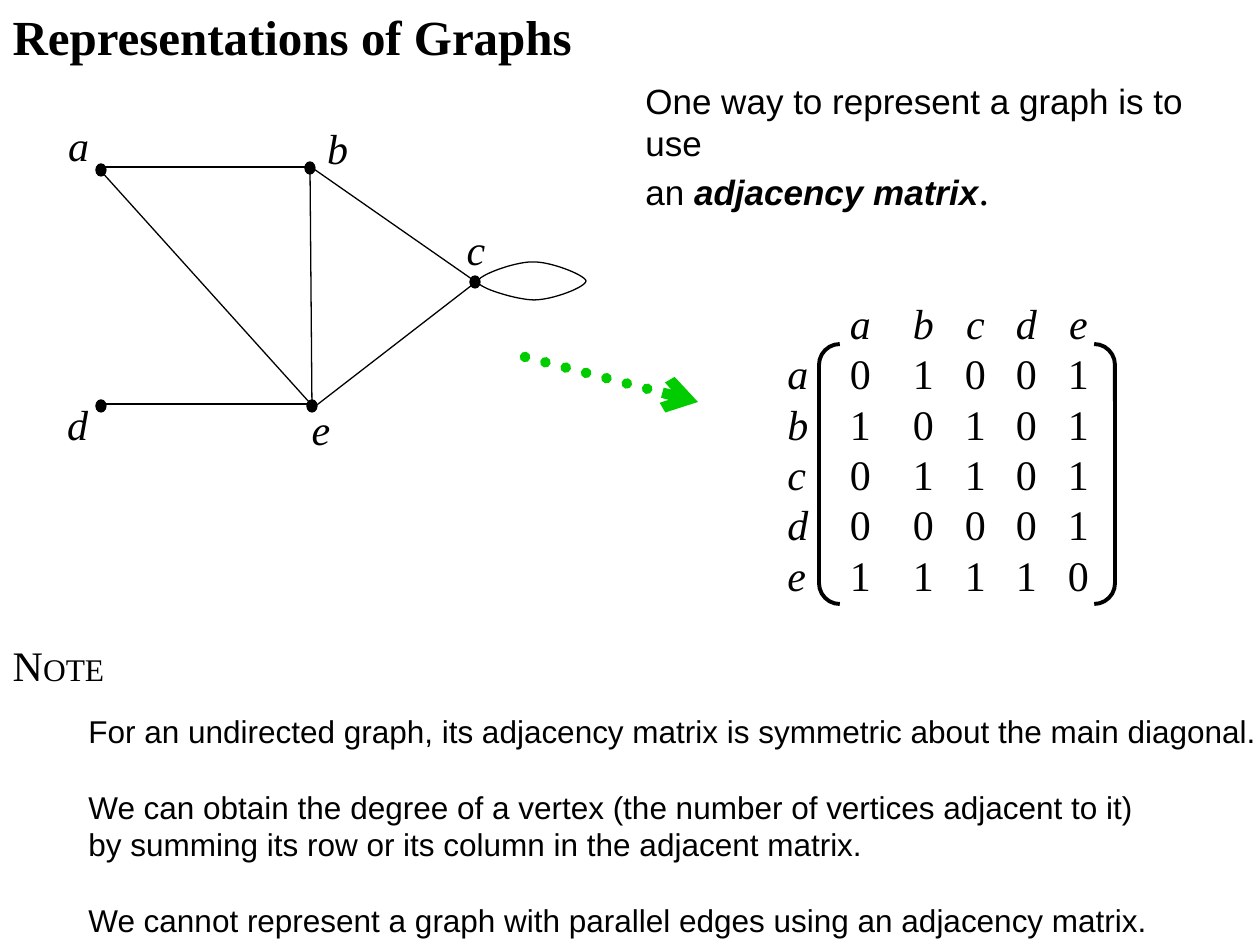
from dataclasses import dataclass

from lxml import etree
from pptx import Presentation
from pptx.dml.color import RGBColor
from pptx.enum.dml import MSO_LINE
from pptx.enum.shapes import MSO_CONNECTOR, MSO_SHAPE
from pptx.enum.text import MSO_ANCHOR, MSO_AUTO_SIZE, PP_ALIGN
from pptx.oxml.ns import qn
from pptx.util import Emu, Pt

LEFT, CENTER = PP_ALIGN.LEFT, PP_ALIGN.CENTER
MIDDLE, NO_FIT = MSO_ANCHOR.MIDDLE, MSO_AUTO_SIZE.NONE
STRAIGHT, ROUND_DOT = MSO_CONNECTOR.STRAIGHT, MSO_LINE.ROUND_DOT
OVAL, BRACKETS = MSO_SHAPE.OVAL, MSO_SHAPE.DOUBLE_BRACKET
PX_PER_INCH = 126
LINE_HEIGHT = 1.2


@dataclass(frozen=True)
class Theme:
    ink: RGBColor = RGBColor(0, 0, 0)
    arrow: RGBColor = RGBColor(0x00, 0xCC, 0x00)
    serif: str = "Times New Roman"
    sans: str = "Arial"
    title: int = 28
    symbol: int = 24
    lead: int = 20
    body: int = 18
    thin: float = 0.75
    bracket: float = 2.25
    thick: float = 6


THEME = Theme()


@dataclass(frozen=True)
class Run:
    text: str
    size: int = THEME.symbol
    font: str = THEME.serif
    bold: bool = False
    italic: bool = False


@dataclass(frozen=True)
class Box:
    left: int
    top: int
    width: int
    height: int


@dataclass(frozen=True)
class Vertex:
    name: str
    x: int
    y: int
    label: Box


@dataclass(frozen=True)
class Edge:
    x1: int
    y1: int
    x2: int
    y2: int


def px(value: float) -> Emu:
    return Emu(round(value * 914400 / PX_PER_INCH))


def place(box: Box) -> tuple:
    return px(box.left), px(box.top), px(box.width), px(box.height)


def write(frame, paragraphs: list, align=LEFT, wrap=False) -> list:
    """Fill a text frame with paragraphs, each a list of runs."""
    frame.word_wrap, frame.auto_size = wrap, NO_FIT
    frame.vertical_anchor = MIDDLE
    written = []
    for index, runs in enumerate(paragraphs):
        paragraph = frame.add_paragraph() if index else frame.paragraphs[0]
        paragraph.alignment = align
        paragraph.line_spacing = Pt(LINE_HEIGHT * max(run.size for run in runs))
        paragraph.space_before = Pt(0)
        for item in runs:
            run = paragraph.add_run()
            run.text = item.text
            run.font.size, run.font.name = Pt(item.size), item.font
            run.font.bold, run.font.italic = item.bold, item.italic
            run.font.color.rgb = THEME.ink
        written.append(paragraph)
    return written


def add_text(slide, box: Box, paragraphs: list, align=LEFT, wrap=False) -> list:
    frame = slide.shapes.add_textbox(*place(box)).text_frame
    return write(frame, paragraphs, align, wrap)


def outline(shape, width: float, filled: bool = False) -> None:
    shape.shadow.inherit = False
    if filled:
        shape.fill.solid()
        shape.fill.fore_color.rgb = THEME.ink
    else:
        shape.fill.background()
    shape.line.color.rgb, shape.line.width = THEME.ink, Pt(width)


def add_edge(slide, edge: Edge, color=THEME.ink, width: float = THEME.thin):
    line = slide.shapes.add_connector(
        STRAIGHT, px(edge.x1), px(edge.y1), px(edge.x2), px(edge.y2))
    line.line.color.rgb, line.line.width = color, Pt(width)
    etree.SubElement(line._element.spPr, qn("a:effectLst"))
    return line


def add_vertex(slide, vertex: Vertex) -> None:
    dot = slide.shapes.add_shape(OVAL, *place(Box(vertex.x - 5, vertex.y - 6, 10, 12)))
    outline(dot, THEME.thin, filled=True)
    add_text(slide, vertex.label, [[Run(vertex.name, italic=True)]], CENTER)


def bezier(points: tuple, steps: int = 16) -> list:
    """Points along a cubic curve, without its start."""
    def at(t: float, axis: int) -> float:
        p0, p1, p2, p3 = (point[axis] for point in points)
        u = 1 - t
        return u**3 * p0 + 3 * u * u * t * p1 + 3 * u * t * t * p2 + t**3 * p3

    return [(px(at(i / steps, 0)), px(at(i / steps, 1))) for i in range(1, steps + 1)]


def add_loop(slide, knots: list) -> None:
    builder = slide.shapes.build_freeform(px(knots[0][0]), px(knots[0][1]), scale=1.0)
    curve = [point for start in range(0, len(knots) - 1, 3)
             for point in bezier(tuple(knots[start:start + 4]))]
    builder.add_line_segments(curve, close=True)
    outline(builder.convert_to_shape(), THEME.thin)


def add_matrix(slide, names: str, rows: list, tab_stops: list) -> None:
    header = [Run("".join(f"\t{name}" for name in names), italic=True)]
    lines = [header] + [
        [Run(name, italic=True), Run("".join(f"\t{value}" for value in row))]
        for name, row in zip(names, rows)]
    brackets = slide.shapes.add_shape(BRACKETS, *place(Box(819, 344, 296, 260)))
    outline(brackets, THEME.bracket)
    brackets.adjustments[0] = 0.08
    for paragraph in add_text(slide, Box(775, 291, 350, 315), lines, wrap=True):
        tabs = etree.SubElement(paragraph._p.get_or_add_pPr(), qn("a:tabLst"))
        for stop in tab_stops:
            etree.SubElement(tabs, qn("a:tab"), pos=str(px(stop)), algn="ctr")


VERTICES = [
    Vertex("a", 101, 170, Box(55, 113, 47, 63)),
    Vertex("b", 310, 168, Box(314, 116, 47, 63)),
    Vertex("c", 475, 282, Box(454, 217, 44, 63)),
    Vertex("d", 101, 406, Box(54, 392, 47, 63)),
    Vertex("e", 312, 406, Box(299, 397, 44, 63)),
]
EDGES = [
    Edge(100, 404, 311, 404), Edge(100, 167, 309, 167), Edge(311, 167, 476, 282),
    Edge(476, 282, 313, 408), Edge(100, 170, 309, 402), Edge(310, 167, 312, 407),
]
LOOP = [
    (478, 282), (478, 288), (517, 300), (534, 300), (553, 300), (586, 287), (586, 281),
    (585, 275), (549, 261), (532, 262), (514, 262), (476, 276), (478, 282),
]
ADJACENCY = ["01001", "10101", "01101", "00001", "11110"]
NOTES = [
    ("For an undirected graph, its adjacency matrix is symmetric about the main diagonal.", False),
    ("We can obtain the degree of a vertex (the number of vertices adjacent to it)", True),
    ("by summing its row or its column in the adjacent matrix.", False),
    ("We cannot represent a graph with parallel edges using an adjacency matrix.", True),
]


def main() -> None:
    deck = Presentation()
    deck.slide_width, deck.slide_height = px(1260), px(945)
    slide = deck.slides.add_slide(deck.slide_layouts[5])

    # Title
    title = slide.shapes.title
    title.left, title.top, title.width, title.height = place(Box(0, 0, 586, 72))
    write(title.text_frame, [[Run("Representations of Graphs", THEME.title, bold=True)]])

    # Graph
    for edge in EDGES:
        add_edge(slide, edge)
    add_loop(slide, LOOP)
    for vertex in VERTICES:
        add_vertex(slide, vertex)

    # Introduction
    add_text(slide, Box(633, 94, 627, 105), [
        [Run("One way to represent a graph is to use", THEME.lead, THEME.sans)],
        [Run("an ", THEME.lead, THEME.sans),
         Run("adjacency matrix", THEME.lead, THEME.sans, True, True), Run(".")],
    ], wrap=True)

    # Adjacency matrix, with the dotted arrow that leads to it
    add_matrix(slide, "abcde", ADJACENCY, [73, 136, 188, 239, 291])
    arrow = add_edge(slide, Edge(525, 357, 698, 402), THEME.arrow, THEME.thick)
    arrow.line.dash_style = ROUND_DOT
    stroke = arrow._element.spPr.get_or_add_ln()
    stroke.set("cap", "rnd")
    etree.SubElement(stroke, qn("a:tailEnd"), type="arrow")

    # Notes
    add_text(slide, Box(0, 633, 117, 63), [[Run("N"), Run("OTE", THEME.body)]], CENTER)
    notes = add_text(slide, Box(76, 706, 1193, 239),
                     [[Run(text, THEME.body, THEME.sans)] for text, _ in NOTES])
    for paragraph, (_, gap) in zip(notes, NOTES):
        paragraph.space_before = Pt(LINE_HEIGHT * THEME.body if gap else 0)

    deck.save("out.pptx")


if __name__ == "__main__":
    main()
